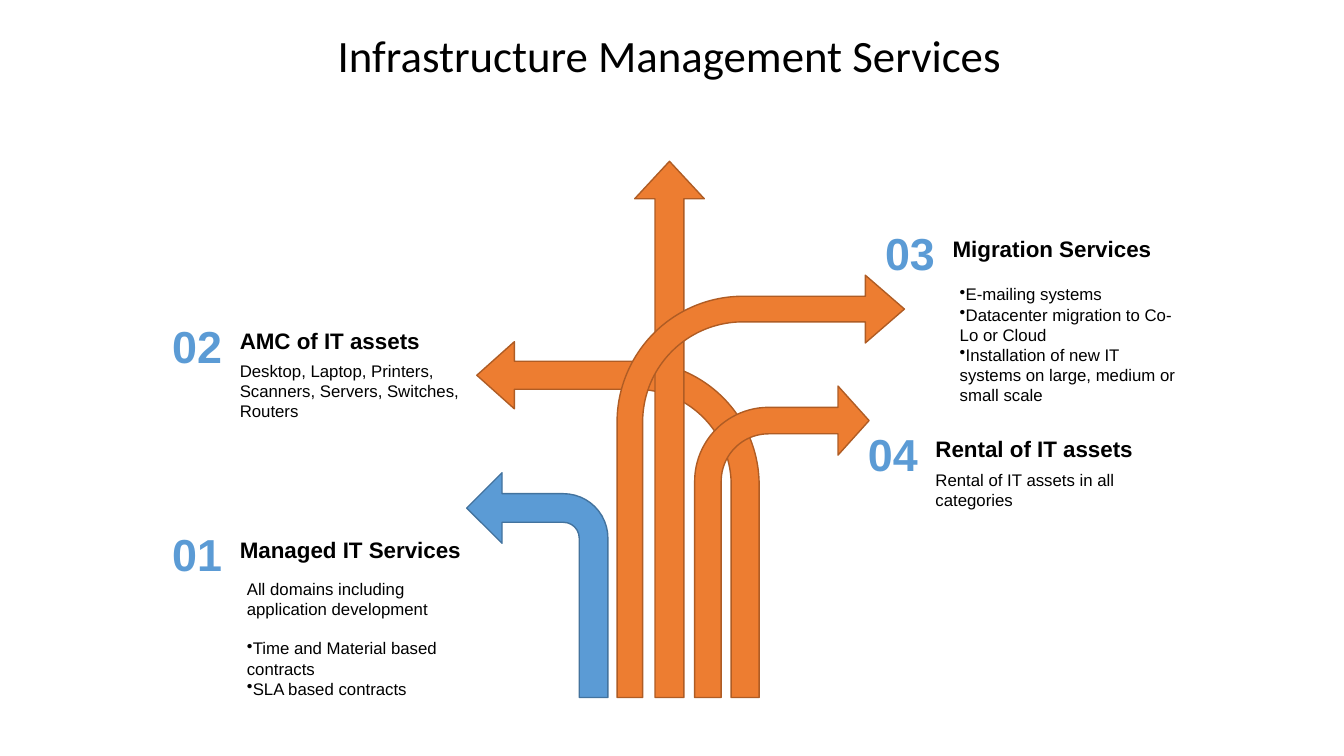
from pptx import Presentation
from pptx.dml.color import RGBColor
from pptx.enum.shapes import MSO_SHAPE as Shape
from pptx.enum.text import MSO_ANCHOR as Anchor, PP_ALIGN as Align
from pptx.oxml.ns import qn
from pptx.util import Inches, Pt
from lxml.etree import SubElement

WIDTH, HEIGHT = Inches(13.33), Inches(7.5)
COLS, ROWS = 133.3, 75
BASELINE = 69.2  # row where every arrow starts
BLACK, BLUE, ORANGE = "000000", "5B9BD5", "ED7D31"
BLUE_EDGE, ORANGE_EDGE = "43739E", "AF5C24"
BULLET = "•"

# direction, (left, top, width), adjustments, fill, edge; from back to front
ARROWS = [
    ("left", (46.3, 46.9, 14), (0.203, 0.25, 0.25, 0.315), BLUE, BLUE_EDGE),
    ("left", (47.3, 33.9, 28), (0.099, 0.119, 0.133, 0.438), ORANGE, ORANGE_EDGE),
    ("up", (62.95, 16, 6.9), (0.415, 0.539), ORANGE, ORANGE_EDGE),
    ("right", (61.2, 27.3, 28.5), (0.089, 0.118, 0.136, 0.438), ORANGE, ORANGE_EDGE),
    ("right", (68.9, 38.3, 17.3), (0.152, 0.198, 0.178, 0.424), ORANGE, ORANGE_EDGE),
]

# number, heading, (left, top, heading width), body box from left and top, body lines
SERVICES = [
    ("01", "Managed IT Services", (15.8, 51.8, 25.5), (7.7, 5.1, 21.7, 15.1),
     ["All domains including application development",
      BULLET + "Time and Material based contracts", BULLET + "SLA based contracts"]),
    ("02", "AMC of IT assets", (15.8, 31.1, 22.7), (7, 4.2, 24.7, 7.1),
     ["Desktop, Laptop, Printers, Scanners, Servers, Switches, Routers"]),
    ("03", "Migration Services", (86.5, 21.9, 22.7), (7.7, 5.8, 23.8, 15.2),
     [BULLET + "E-mailing systems", BULLET + "Datacenter migration to Co-Lo or Cloud",
      BULLET + "Installation of new IT systems on large, medium or small scale"]),
    ("04", "Rental of IT assets", (84.8, 41.8, 22.7), (7, 4.3, 24.7, 5),
     ["Rental of IT assets in all categories"]),
]


def color(hex_code):
    """Turn a hex string into a colour."""
    return RGBColor.from_string(hex_code)


def place(left, top, width, height):
    """Turn a box in columns and rows into slide lengths."""
    return (int(left / COLS * WIDTH), int(top / ROWS * HEIGHT),
            int(width / COLS * WIDTH), int(height / ROWS * HEIGHT))


def add_bullet(paragraph):
    """Give a paragraph a bullet without a hanging indent."""
    properties = paragraph._p.get_or_add_pPr()
    properties.set("marL", "0")
    properties.set("indent", "0")
    SubElement(properties, qn("a:buChar")).set("char", BULLET)


def add_text(slide, box, lines, size=12, font="Arial", ink=BLACK, bold=False,
             align=Align.LEFT, anchor=Anchor.TOP, spacing=1.0):
    """Write lines into a box; a leading bullet sign makes a list item."""
    frame = slide.shapes.add_textbox(*place(*box)).text_frame
    frame.word_wrap = True
    frame.vertical_anchor = anchor
    after_plain = False
    for index, line in enumerate(lines):
        paragraph = frame.add_paragraph() if index else frame.paragraphs[0]
        paragraph.alignment = align
        paragraph.line_spacing = spacing
        listed = line.startswith(BULLET)
        if listed and after_plain:
            paragraph.space_before = Pt(size * 1.15)
        if listed:
            add_bullet(paragraph)
        after_plain = not listed
        run = paragraph.add_run()
        run.text = line.removeprefix(BULLET)
        run.font.name, run.font.size, run.font.bold = font, Pt(size), bold
        run.font.color.rgb = color(ink)


def add_arrow(slide, direction, box, adjustments, fill, edge):
    """Draw an arrow that rises from the baseline and ends in a direction."""
    left, top, width = box
    preset = Shape.UP_ARROW if direction == "up" else Shape.BENT_ARROW
    arrow = slide.shapes.add_shape(preset, *place(left, top, width, BASELINE - top))
    for index, value in enumerate(adjustments):
        arrow.adjustments[index] = value
    if direction == "left":
        arrow._element.spPr.find(qn("a:xfrm")).set("flipH", "1")
    arrow.shadow.inherit = False
    arrow.fill.solid()
    arrow.fill.fore_color.rgb = color(fill)
    arrow.line.color.rgb = color(edge)
    arrow.line.width = Pt(1)


def add_service(slide, number, heading, box, body_box, body):
    """Place a service's number, heading and body relative to its corner."""
    left, top, heading_width = box
    dx, dy, width, height = body_box
    add_text(slide, (left, top, 7.5, 6.4), [number], size=32, ink=BLUE,
             bold=True, align=Align.CENTER)
    add_text(slide, (left + 7, top + 0.9, heading_width, 3.7), [heading],
             size=16, bold=True)
    add_text(slide, (left + dx, top + dy, width, height), body)


def build_services_slide(deck):
    """Build the slide with the title, the arrows and the services."""
    slide = deck.slides.add_slide(deck.slide_layouts[6])
    add_text(slide, (19.7, 2.7, 93.4, 6.1), ["Infrastructure Management Services"],
             size=32, font="Calibri", align=Align.CENTER, anchor=Anchor.MIDDLE,
             spacing=0.9)
    for arrow in ARROWS:
        add_arrow(slide, *arrow)
    for service in SERVICES:
        add_service(slide, *service)


deck = Presentation()
deck.slide_width, deck.slide_height = WIDTH, HEIGHT
build_services_slide(deck)
deck.save("out.pptx")
